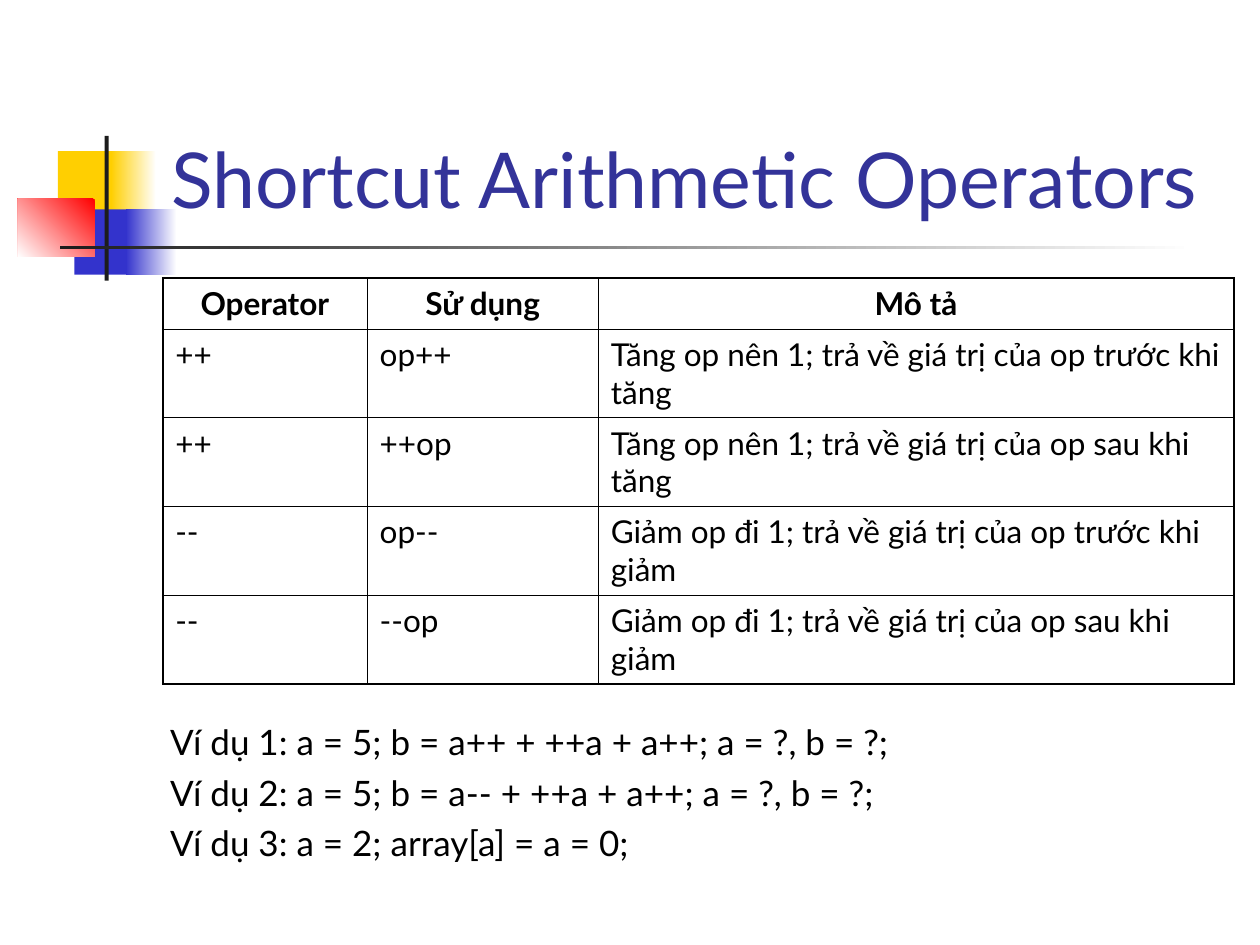
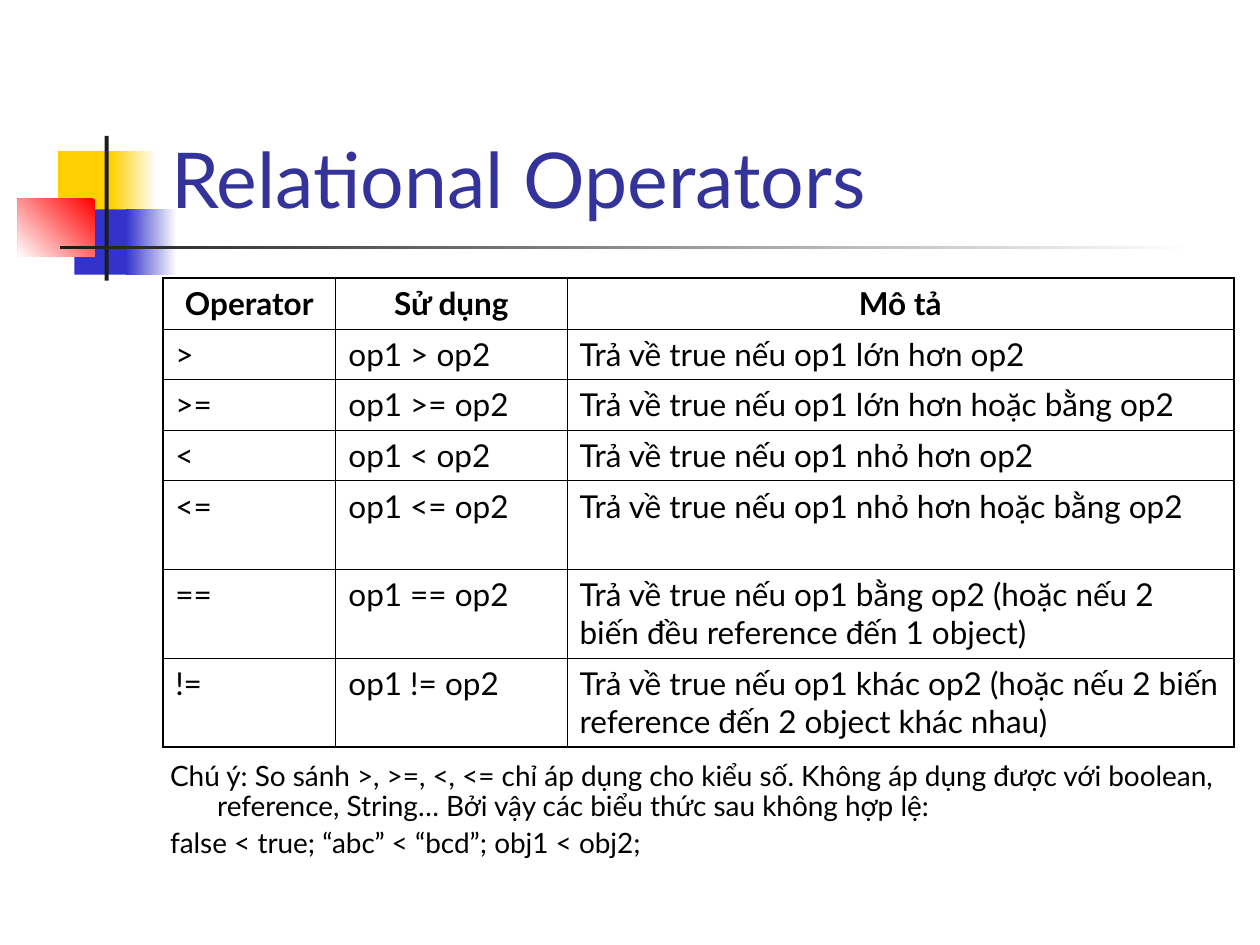
import pptx
import pptx.util
import pptx.dml.color
import pptx.enum.shapes
import pptx.enum.text
import pptx.oxml.ns
import lxml.etree

Cm = pptx.util.Cm
Pt = pptx.util.Pt
RGB = pptx.dml.color.RGBColor.from_string
ALIGN = pptx.enum.text.PP_ALIGN
ANCHOR = pptx.enum.text.MSO_ANCHOR
RECT = pptx.enum.shapes.MSO_SHAPE.RECTANGLE

COLORS = {
    "white": "FFFFFF",
    "yellow": "FFCF01",
    "blue": "3333CC",
    "red": "FF0000",
    "dark": "1C1C1C",
    "title": "333399",
    "black": "000000",
}
FONT = "Lato"
THIN, THICK = 0.45, 1.08


def write(frame, lines, size=18, color="black", bold=False, align=ALIGN.LEFT,
          anchor=ANCHOR.TOP, before=0, spacing=None, hang=0):
    frame.word_wrap = True
    frame.vertical_anchor = anchor
    for num, line in enumerate(lines):
        para = frame.paragraphs[0] if num == 0 else frame.add_paragraph()
        para.alignment = align
        para.space_before = Pt(before)
        if spacing:
            para.line_spacing = spacing
        if hang:
            props = para._p.get_or_add_pPr()
            props.set("marL", str(Cm(hang)))
            props.set("indent", str(-Cm(hang)))
        run = para.add_run()
        run.text = line
        run.font.name = FONT
        run.font.size = Pt(size)
        run.font.bold = bold
        run.font.color.rgb = RGB(COLORS[color])


def edge(cell, sides):
    props = cell._tc.get_or_add_tcPr()
    for num, (side, width) in enumerate(sides):
        line = lxml.etree.Element(pptx.oxml.ns.qn("a:ln" + side), w=str(Pt(width)))
        fill = lxml.etree.SubElement(line, pptx.oxml.ns.qn("a:solidFill"))
        lxml.etree.SubElement(fill, pptx.oxml.ns.qn("a:srgbClr"), val=COLORS["black"])
        props.insert(num, line)


BLOCKS = [
    (1.17, 3.05, 1.22, 1.32, "yellow", None, None),
    (2.24, 3.05, 0.91, 1.32, "white", "yellow", 180),
    (1.50, 4.22, 1.17, 1.32, "blue", None, None),
    (2.54, 4.22, 1.02, 1.32, "white", "blue", 180),
    (0.36, 4.01, 1.55, 1.17, "red", "white", 225),
    (2.11, 2.74, 0.08, 2.92, "dark", None, None),
    (1.22, 4.95, 22.86, 0.08, "white", "dark", 180),
]
HEAD = ("Operator", "Sử dụng", "Mô tả")
LOW, HIGH = 1.02, 1.79

SLIDES = [
    {
        "title": "Shortcut Arithmetic Operators",
        "cols": (4.12, 4.66, 12.81),
        "rows": [
            (LOW, HEAD),
            (HIGH, ("++", "op++", "Tăng op nên 1; trả về giá trị của op trước khi tăng")),
            (HIGH, ("++", "++op", "Tăng op nên 1; trả về giá trị của op sau khi tăng")),
            (HIGH, ("--", "op--", "Giảm op đi 1; trả về giá trị của op trước khi giảm")),
            (HIGH, ("--", "--op", "Giảm op đi 1; trả về giá trị của op sau khi giảm")),
        ],
        "notes": [
            "Ví dụ 1: a = 5; b = a++ + ++a + a++; a = ?, b = ?;",
            "Ví dụ 2: a = 5; b = a-- + ++a + a++; a = ?, b = ?;",
            "Ví dụ 3: a = 2; array[a] = a = 0;",
        ],
        "place": (14.4, 4.01),
        "style": {"size": 20, "before": 5},
    },
    {
        "title": "Relational Operators",
        "cols": (3.49, 4.66, 13.44),
        "rows": [
            (LOW, HEAD),
            (LOW, (">", "op1 > op2", "Trả về true nếu op1 lớn hơn op2")),
            (LOW, (">=", "op1 >= op2", "Trả về true nếu op1 lớn hơn hoặc bằng op2")),
            (LOW, ("<", "op1 < op2", "Trả về true nếu op1 nhỏ hơn op2")),
            (HIGH, ("<=", "op1 <= op2", "Trả về true nếu op1 nhỏ hơn hoặc bằng op2")),
            (HIGH, ("==", "op1 == op2",
                    "Trả về true nếu op1 bằng op2 (hoặc nếu 2 biến đều reference đến 1 object)")),
            (HIGH, ("!=", "op1 != op2",
                    "Trả về true nếu op1 khác op2 (hoặc nếu 2 biến reference đến 2 object khác nhau)")),
        ],
        "notes": [
            "Chú ý: So sánh >, >=, <, <= chỉ áp dụng cho kiểu số. Không áp dụng được với "
            "boolean, reference, String… Bởi vậy các biểu thức sau không hợp lệ:",
            "false < true; “abc” < “bcd”; obj1 < obj2;",
        ],
        "place": (15.24, 2.54),
        "style": {"size": 16, "before": 4, "spacing": 0.9},
    },
]

deck = pptx.Presentation()
deck.slide_width = Cm(25.4)
deck.slide_height = Cm(19.05)

for page in SLIDES:
    slide = deck.slides.add_slide(deck.slide_layouts[6])

    for left, top, width, height, first, last, angle in BLOCKS:
        block = slide.shapes.add_shape(RECT, Cm(left), Cm(top), Cm(width), Cm(height))
        block.shadow.inherit = False
        block.line.fill.background()
        if last:
            block.fill.gradient()
            block.fill.gradient_angle = angle
            for stop, name in zip(block.fill.gradient_stops, (first, last)):
                stop.color.rgb = RGB(COLORS[name])
        else:
            block.fill.solid()
            block.fill.fore_color.rgb = RGB(COLORS[first])

    title = slide.shapes.add_textbox(Cm(3.2), Cm(0.58), Cm(21.64), Cm(4.06))
    write(title.text_frame, [page["title"]], size=44, color="title", anchor=ANCHOR.BOTTOM)

    rows, cols = page["rows"], page["cols"]
    tall = sum(height for height, texts in rows)
    grid = slide.shapes.add_table(len(rows), len(cols), Cm(3.28), Cm(5.61),
                                  Cm(sum(cols)), Cm(tall)).table
    grid.first_row = False
    grid.horz_banding = False
    for col, width in zip(grid.columns, cols):
        col.width = Cm(width)
    for r, (height, texts) in enumerate(rows):
        grid.rows[r].height = Cm(height)
        for c, text in enumerate(texts):
            cell = grid.cell(r, c)
            cell.fill.background()
            write(cell.text_frame, [text], bold=r == 0, before=4.5,
                  align=ALIGN.CENTER if r == 0 else ALIGN.LEFT)
            outer = (("L", c == 0), ("R", c == len(cols) - 1),
                     ("T", r == 0), ("B", r == len(rows) - 1))
            edge(cell, [(side, THICK if rim else THIN) for side, rim in outer])

    top, height = page["place"]
    notes = slide.shapes.add_textbox(Cm(3.18), Cm(top), Cm(21.59), Cm(height))
    write(notes.text_frame, page["notes"], hang=0.95, **page["style"])

deck.save("out.pptx")
